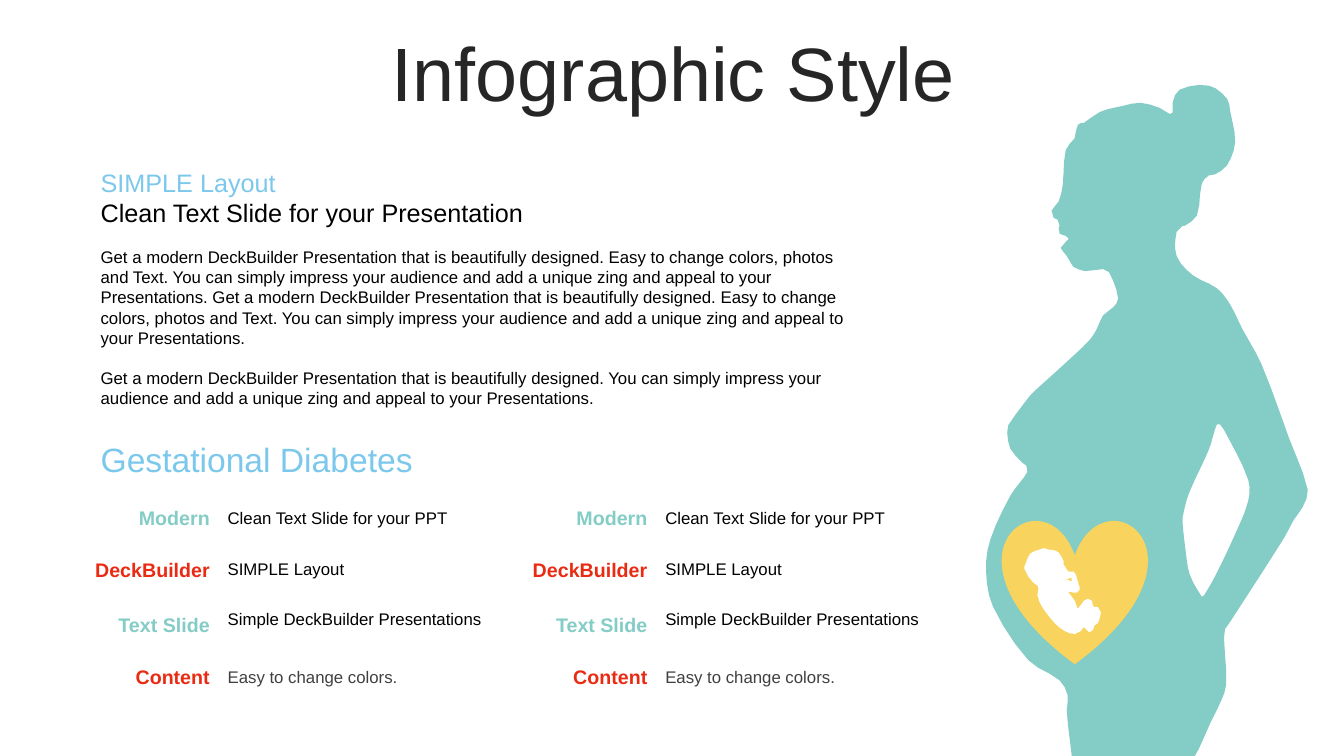
import dataclasses
import math

import pptx
import pptx.dml.color
import pptx.enum.shapes
import pptx.enum.text
import pptx.util

Inches = pptx.util.Inches
Align = pptx.enum.text.PP_ALIGN
Anchor = pptx.enum.text.MSO_ANCHOR
Preset = pptx.enum.shapes.MSO_SHAPE


@dataclasses.dataclass(frozen=True)
class Theme:
    font: str = "Arial"
    dark: str = "262626"
    black: str = "000000"
    gray: str = "404040"
    white: str = "FFFFFF"
    sky: str = "7CC8EC"
    teal: str = "84CCC6"
    red: str = "EA2B13"
    yellow: str = "F8D45E"
    title: int = 54
    section: int = 24
    heading: int = 18
    label: int = 14
    body: int = 12


THEME = Theme()

TITLE = "Infographic Style"
HEADING = ["SIMPLE Layout", "Clean Text Slide for your Presentation"]
OPENING = "Get a modern DeckBuilder Presentation that is beautifully designed."
APPEAL = (
    "You can simply impress your audience and add a unique zing and appeal "
    "to your Presentations."
)
PITCH = f"{OPENING} Easy to change colors, photos and Text. {APPEAL}"
BODY = [f"{PITCH} {PITCH}", f"{OPENING} {APPEAL}"]
SECTION = "Gestational Diabetes"

# label, label colour, label fill, label top, description, description colour, description top
ROWS = [
    ("Modern", THEME.teal, None, 4.97, "Clean Text Slide for your PPT", THEME.black, 4.99),
    ("DeckBuilder", THEME.red, None, 5.48, "SIMPLE Layout", THEME.black, 5.49),
    ("Text Slide", THEME.teal, THEME.white, 6.03,
     "Simple DeckBuilder Presentations", THEME.black, 5.99),
    ("Content", THEME.red, None, 6.54, "Easy to change colors.", THEME.gray, 6.56),
]
COLUMN_LEFTS = [0.9, 5.24]
DESCRIPTION_OFFSET = 1.26

# Outline points in inches; a point given twice in a row is a sharp corner.
MOTHER = [
    (12.97, 4.86), (12.79, 4.36), (12.51, 3.61), (12.32, 3.26), (12.2, 3.02),
    (12.07, 2.86), (11.83, 2.73), (11.67, 2.54), (11.67, 2.3), (11.73, 2.24),
    (11.75, 2.24), (11.87, 2.14), (11.92, 1.82), (11.99, 1.74), (12.05, 1.73),
    (12.17, 1.64), (12.25, 1.41), (12.2, 1.1), (12.17, 0.98), (11.99, 0.85),
    (11.7, 0.89), (11.63, 1.02), (11.63, 1.12), (11.6, 1.13), (11.5, 1.07),
    (11.31, 1.02), (11.14, 1.05), (10.91, 1.11), (10.75, 1.22), (10.72, 1.22),
    (10.69, 1.24), (10.66, 1.36), (10.66, 1.37), (10.57, 1.49), (10.54, 1.84),
    (10.5, 2.0), (10.43, 2.09), (10.45, 2.16), (10.49, 2.18), (10.51, 2.24),
    (10.5, 2.26), (10.51, 2.32), (10.57, 2.34), (10.6, 2.37), (10.57, 2.4),
    (10.52, 2.46), (10.54, 2.49), (10.58, 2.54), (10.64, 2.64), (10.65, 2.65),
    (10.76, 2.69), (10.94, 2.67), (11.0, 2.7), (11.09, 2.96), (11.04, 3.05),
    (10.94, 3.13), (10.88, 3.26), (10.81, 3.37), (10.58, 3.59), (10.26, 3.88),
    (10.22, 3.92), (10.0, 4.22), (9.99, 4.29), (10.02, 4.45), (10.14, 4.59),
    (10.18, 4.62), (10.19, 4.68), (10.16, 4.73), (10.02, 4.92), (9.82, 5.36),
    (9.78, 5.67), (9.85, 6.02), (10.2, 6.55), (10.51, 6.75), (10.59, 6.9),
    (10.58, 7.05), (10.63, 7.5), (10.63, 7.5), (11.85, 7.5), (11.85, 7.5),
    (11.89, 7.43), (12.01, 7.16), (12.08, 7.02), (12.16, 6.8), (12.14, 6.33),
    (12.15, 6.24), (12.2, 6.17), (12.74, 5.33), (12.83, 5.16), (12.92, 5.03),
]
ARM_GAP = [
    (12.38, 4.97), (12.25, 5.3), (12.06, 5.7), (11.94, 5.91), (11.92, 5.92),
    (11.8, 5.7), (11.76, 5.47), (11.73, 5.2), (11.73, 5.13), (11.79, 4.9),
    (11.99, 4.46), (12.05, 4.26), (12.07, 4.21), (12.1, 4.21), (12.17, 4.32),
    (12.38, 4.76),
]
BABY = [
    (10.16, 5.62), (10.16, 5.64), (10.2, 5.72), (10.25, 5.78), (10.29, 5.81),
    (10.3, 5.84), (10.29, 5.9), (10.31, 5.97), (10.37, 6.07), (10.47, 6.19),
    (10.56, 6.26), (10.66, 6.29), (10.72, 6.26), (10.75, 6.22), (10.75, 6.22),
    (10.8, 6.27), (10.83, 6.26), (10.85, 6.23), (10.85, 6.21), (10.85, 6.21),
    (10.89, 6.18), (10.9, 6.16), (10.92, 6.08), (10.89, 6.02), (10.85, 6.02),
    (10.84, 6.01), (10.84, 6.0), (10.83, 5.96), (10.79, 5.94), (10.75, 5.96),
    (10.73, 5.99), (10.69, 6.04), (10.69, 6.04), (10.66, 5.96), (10.6, 5.88),
    (10.6, 5.87), (10.61, 5.87), (10.65, 5.88), (10.68, 5.88), (10.71, 5.85),
    (10.71, 5.83), (10.7, 5.8), (10.67, 5.7), (10.65, 5.67), (10.62, 5.67),
    (10.6, 5.67), (10.58, 5.65), (10.57, 5.63), (10.55, 5.6), (10.55, 5.57),
    (10.5, 5.48), (10.46, 5.46), (10.39, 5.45), (10.37, 5.44), (10.34, 5.44),
    (10.32, 5.45), (10.22, 5.49), (10.17, 5.6),
]
HAND_GAP = [(10.55, 5.76), (10.57, 5.75), (10.63, 5.73), (10.63, 5.77), (10.59, 5.75)]


def color(code):
    return pptx.dml.color.RGBColor.from_string(code)


def paint(shape, fill):
    shape.shadow.inherit = False
    shape.fill.solid()
    shape.fill.fore_color.rgb = color(fill)
    shape.line.fill.background()


def smooth(points):
    """Round a closed outline: handles follow the neighbours, long spans get more steps."""

    def handle(start, end, length):
        span = math.dist(start, end) or 1
        return [(b - a) / span * length / 3 for a, b in zip(start, end)]

    curve = [points[0]]
    count = len(points)
    for i, start in enumerate(points):
        before, end, after = points[i - 1], points[(i + 1) % count], points[(i + 2) % count]
        length = math.dist(start, end)
        if length == 0:
            continue
        leave, arrive = handle(before, end, length), handle(start, after, length)
        steps = min(3, 1 + int(length / 0.1))
        for t in (step / steps for step in range(1, steps + 1)):
            s = 1 - t
            curve.append(tuple(
                s**3 * p + 3 * s * s * t * (p + a) + 3 * s * t * t * (q - b) + t**3 * q
                for p, q, a, b in zip(start, end, leave, arrive)
            ))
    return [(Inches(x), Inches(y)) for x, y in curve[:-1]]


def add_outline(slide, contours, fill):
    first, *others = [smooth(contour) for contour in contours]
    builder = slide.shapes.build_freeform(*first[0])
    builder.add_line_segments(first[1:], close=True)
    for contour in others:
        builder.move_to(*contour[0])
        builder.add_line_segments(contour[1:], close=True)
    paint(builder.convert_to_shape(), fill)


def add_preset(slide, preset, place, fill):
    shape = slide.shapes.add_shape(preset, *map(Inches, place))
    paint(shape, fill)
    return shape


def write(box, lines, size, colors, align=Align.LEFT, anchor=Anchor.MIDDLE, bold=False):
    frame = box.text_frame
    frame.word_wrap = True
    frame.auto_size = pptx.enum.text.MSO_AUTO_SIZE.NONE
    frame.vertical_anchor = anchor
    frame.text = "\n".join(lines)
    for para, code in zip(frame.paragraphs, colors):
        para.alignment = align
        para.font.name = THEME.font
        para.font.size = pptx.util.Pt(size)
        para.font.bold = bold
        para.font.color.rgb = color(code)
    return frame


def add_text(slide, place, *content, fill=None, **style):
    if fill:
        box = add_preset(slide, Preset.RECTANGLE, place, fill)
    else:
        box = slide.shapes.add_textbox(*map(Inches, place))
    return write(box, *content, **style)


def main():
    deck = pptx.Presentation()
    deck.slide_width, deck.slide_height = Inches(13.33), Inches(7.5)
    slide = deck.slides.add_slide(deck.slide_layouts[5])

    title = slide.shapes.title
    title.left, title.top, title.width, title.height = map(Inches, (0.35, 0.37, 12.66, 0.79))
    frame = write(title, [TITLE], THEME.title, [THEME.dark], align=Align.CENTER)
    frame.paragraphs[0].line_spacing = 0.9

    add_outline(slide, [MOTHER, ARM_GAP], THEME.teal)
    add_preset(slide, Preset.HEART, (9.94, 5.15, 1.44, 1.44), THEME.yellow)
    add_outline(slide, [BABY, HAND_GAP], THEME.white)

    add_text(slide, (0.9, 1.6, 7.76, 0.71), HEADING, THEME.heading, [THEME.sky, THEME.black])
    frame = add_text(slide, (0.9, 2.4, 7.76, 1.72), BODY, THEME.body, [THEME.black] * 2,
                     anchor=Anchor.TOP)
    frame.paragraphs[1].space_before = pptx.util.Pt(14)
    add_text(slide, (0.9, 4.3, 3.71, 0.5), [SECTION], THEME.section, [THEME.sky])

    for left in COLUMN_LEFTS:
        for label, label_color, fill, label_top, description, text_color, text_top in ROWS:
            frame = add_text(slide, (left, label_top, 1.28, 0.34), [label], THEME.label,
                             [label_color], fill=fill, align=Align.RIGHT, bold=True)
            frame.margin_left = 0
            add_text(slide, (left + DESCRIPTION_OFFSET, text_top, 3.2, 0.3), [description],
                     THEME.body, [text_color])

    deck.save("out.pptx")


if __name__ == "__main__":
    main()
